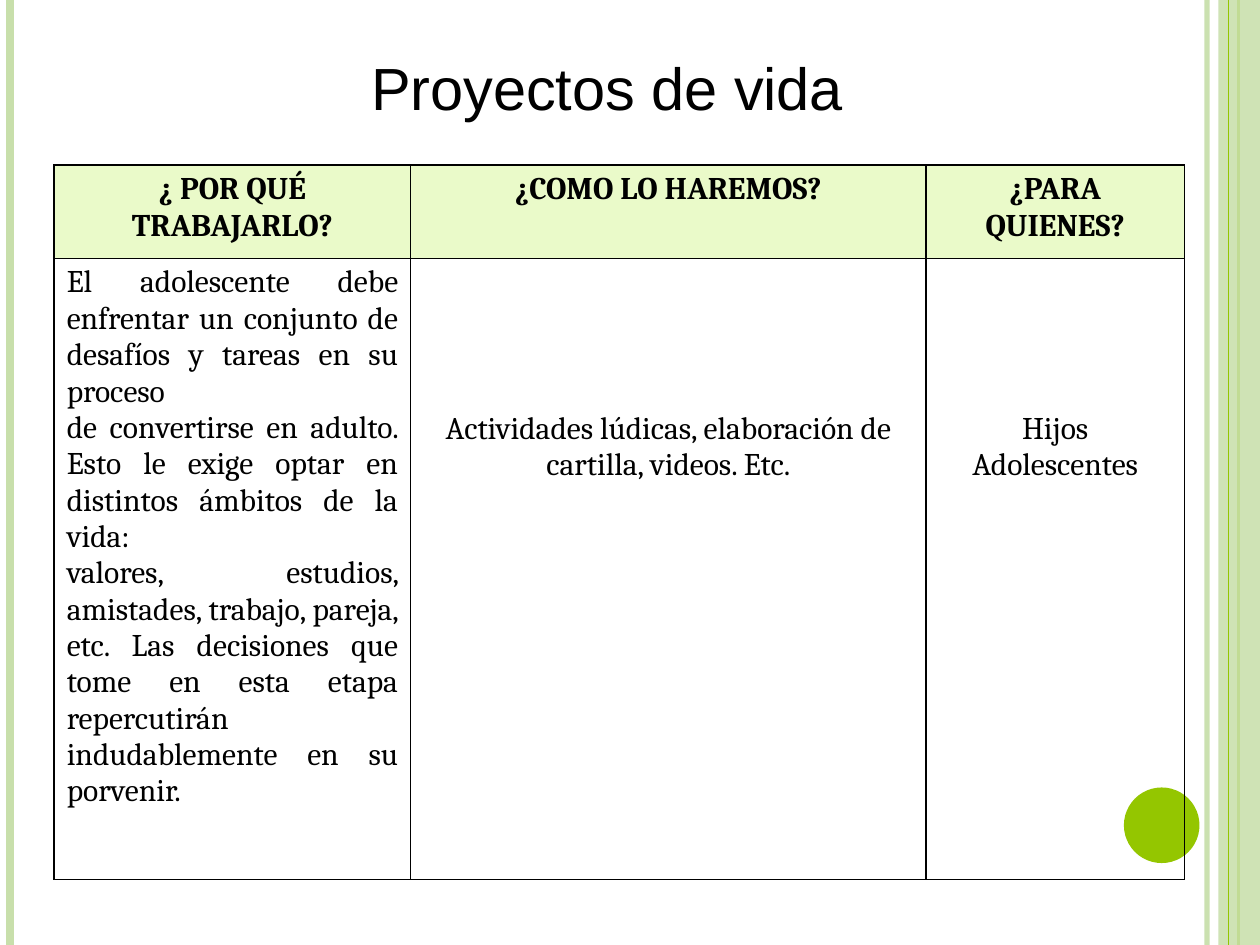
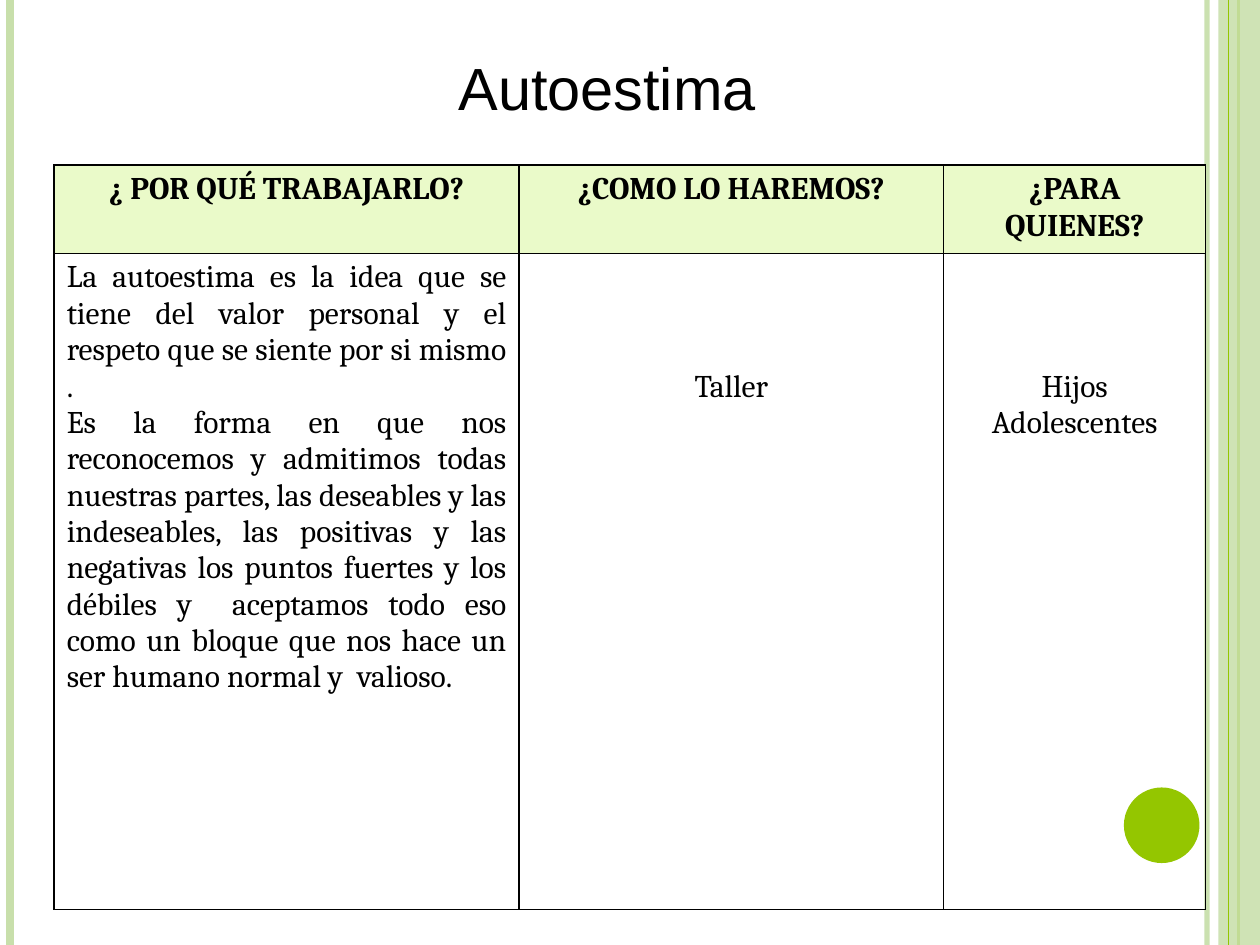
import pptx
import pptx.util
import pptx.dml.color
import pptx.enum.shapes
import pptx.enum.text
import pptx.oxml
import pptx.oxml.ns
from lxml import etree

Inches = pptx.util.Inches
Pt = pptx.util.Pt
RGBColor = pptx.dml.color.RGBColor
ALIGN = pptx.enum.text.PP_ALIGN
SHAPE = pptx.enum.shapes.MSO_SHAPE
qn = pptx.oxml.ns.qn

BLACK = RGBColor(0x00, 0x00, 0x00)
PALE_GREEN = RGBColor(0xC8, 0xDF, 0xAB)
BRIGHT_GREEN = RGBColor(0x94, 0xC6, 0x00)
HEADER_GREEN = RGBColor(0xEA, 0xFA, 0xC9)

WIDTH, HEIGHT = 10, 7.5
TABLE_LEFT, TABLE_TOP = 0.43, 1.31
CELL_MARGIN, TEXT_LINE = 0.05, 0.29

TITLE_FONT = {"name": "Arial", "size": Pt(34)}
HEADER_FONT = {"name": "Cambria", "size": Pt(18), "bold": True}
BODY_FONT = {"name": "Cambria", "size": Pt(18), "bold": False}

HEADERS = ["¿ POR QUÉ TRABAJARLO?", "¿COMO LO HAREMOS?", "¿PARA QUIENES?"]
AUDIENCE = "Hijos Adolescentes"

# x, colour, width in points, opacity in percent
BACK_STRIPES = [
    (9.58, PALE_GREEN, 3, 93),
    (0.08, PALE_GREEN, 4.5, 100),
    (9.83, BRIGHT_GREEN, 1.5, 100),
]
FRONT_STRIPES = [(9.75, BRIGHT_GREEN, 0.75, 100)]

TOPICS = [
    {
        "title": "Proyectos de vida ",
        "reasons": [
            "El adolescente debe enfrentar un conjunto de desafíos y tareas en su proceso ",
            "de convertirse en adulto. Esto le exige optar en distintos ámbitos de la vida:",
            "valores, estudios, amistades, trabajo, pareja, etc. Las decisiones que tome "
            "en esta etapa repercutirán indudablemente en su porvenir.",
        ],
        "method": "Actividades lúdicas, elaboración de cartilla, videos. Etc.",
        "lines_above": 4,
        "columns": [2.83, 4.09, 2.05],
        "rows": [0.74, 4.93],
    },
    {
        "title": "Autoestima ",
        "reasons": [
            "La autoestima es la idea que se tiene del valor personal y el respeto que se "
            "siente por si mismo . \nEs la forma en que nos reconocemos y admitimos todas "
            "nuestras partes, las deseables y las indeseables, las positivas y las "
            "negativas los puntos fuertes y los débiles y  aceptamos todo eso como un "
            "bloque que nos hace un ser humano normal y  valioso.",
        ],
        "method": "Taller",
        "lines_above": 3,
        "columns": [3.69, 3.37, 2.08],
        "rows": [0.7, 5.21],
    },
]


def set_opacity(properties, percent):
    """Make the first solid colour below properties partly transparent."""
    if percent < 100:
        colour = properties.find(".//" + qn("a:srgbClr"))
        etree.SubElement(colour, qn("a:alpha"), val=str(percent * 1000))


def write(frame, paragraphs, font, align):
    frame.word_wrap = True
    for index, text in enumerate(paragraphs):
        paragraph = frame.paragraphs[0] if index == 0 else frame.add_paragraph()
        paragraph.text = text
        paragraph.alignment = align
        for run in paragraph.runs:
            for key, value in font.items():
                setattr(run.font, key, value)
            run.font.color.rgb = BLACK


def add_stripes(slide, stripes):
    for x, colour, points, opacity in stripes:
        stripe = slide.shapes.add_connector(
            pptx.enum.shapes.MSO_CONNECTOR.STRAIGHT,
            Inches(x), 0, Inches(x), Inches(HEIGHT))
        stripe.line.color.rgb = colour
        stripe.line.width = Pt(points)
        properties = stripe._element.spPr
        set_opacity(properties, opacity)
        etree.SubElement(properties, qn("a:effectLst"))


def add_filled(slide, kind, box, colour, opacity=100):
    shape = slide.shapes.add_shape(kind, *map(Inches, box))
    shape.shadow.inherit = False
    shape.fill.solid()
    shape.fill.fore_color.rgb = colour
    shape.line.fill.background()
    set_opacity(shape._element.spPr, opacity)


def add_frame(slide):
    """Draw the side bands and the green disc common to all slides."""
    add_stripes(slide, BACK_STRIPES)
    add_filled(slide, SHAPE.RECTANGLE, (9.67, 0, WIDTH - 9.67, HEIGHT), PALE_GREEN, 87)
    add_stripes(slide, FRONT_STRIPES)
    add_filled(slide, SHAPE.OVAL, (8.92, 6.25, 0.6, 0.6), BRIGHT_GREEN)


def add_title(slide, title):
    box = slide.shapes.add_textbox(*map(Inches, (0.91, 0.36, 7.95, 0.67)))
    write(box.text_frame, [title], TITLE_FONT, ALIGN.CENTER)


def add_borders(cell):
    properties = cell._tc.get_or_add_tcPr()
    for side in ("lnL", "lnR", "lnT", "lnB"):
        border = etree.SubElement(properties, qn("a:" + side), w=str(Pt(1)))
        fill = etree.SubElement(border, qn("a:solidFill"))
        etree.SubElement(fill, qn("a:srgbClr"), val=str(BLACK))


def add_plan(slide, topic):
    columns, rows = topic["columns"], topic["rows"]
    plan = slide.shapes.add_table(
        len(rows), len(columns), Inches(TABLE_LEFT), Inches(TABLE_TOP),
        Inches(sum(columns)), Inches(sum(rows))).table
    plan.first_row = plan.horz_banding = False
    for column, width in zip(plan.columns, columns):
        column.width = Inches(width)
    for row, height in zip(plan.rows, rows):
        row.height = Inches(height)

    for cell in plan.iter_cells():
        add_borders(cell)
    for index, header in enumerate(HEADERS):
        cell = plan.cell(0, index)
        cell.fill.solid()
        cell.fill.fore_color.rgb = HEADER_GREEN
        write(cell.text_frame, [header], HEADER_FONT, ALIGN.CENTER)

    answers = [topic["reasons"], [topic["method"]], [AUDIENCE]]
    for index, answer in enumerate(answers):
        cell = plan.cell(1, index)
        cell.fill.background()
        if index > 0:
            cell.margin_top = Inches(CELL_MARGIN + topic["lines_above"] * TEXT_LINE)
        write(cell.text_frame, answer, BODY_FONT,
              ALIGN.CENTER if index > 0 else ALIGN.JUSTIFY)


def main():
    deck = pptx.Presentation()
    deck.slide_width, deck.slide_height = Inches(WIDTH), Inches(HEIGHT)
    for topic in TOPICS:
        slide = deck.slides.add_slide(deck.slide_layouts[6])
        add_frame(slide)
        add_title(slide, topic["title"])
        add_plan(slide, topic)
    deck.save("out.pptx")


if __name__ == "__main__":
    main()
